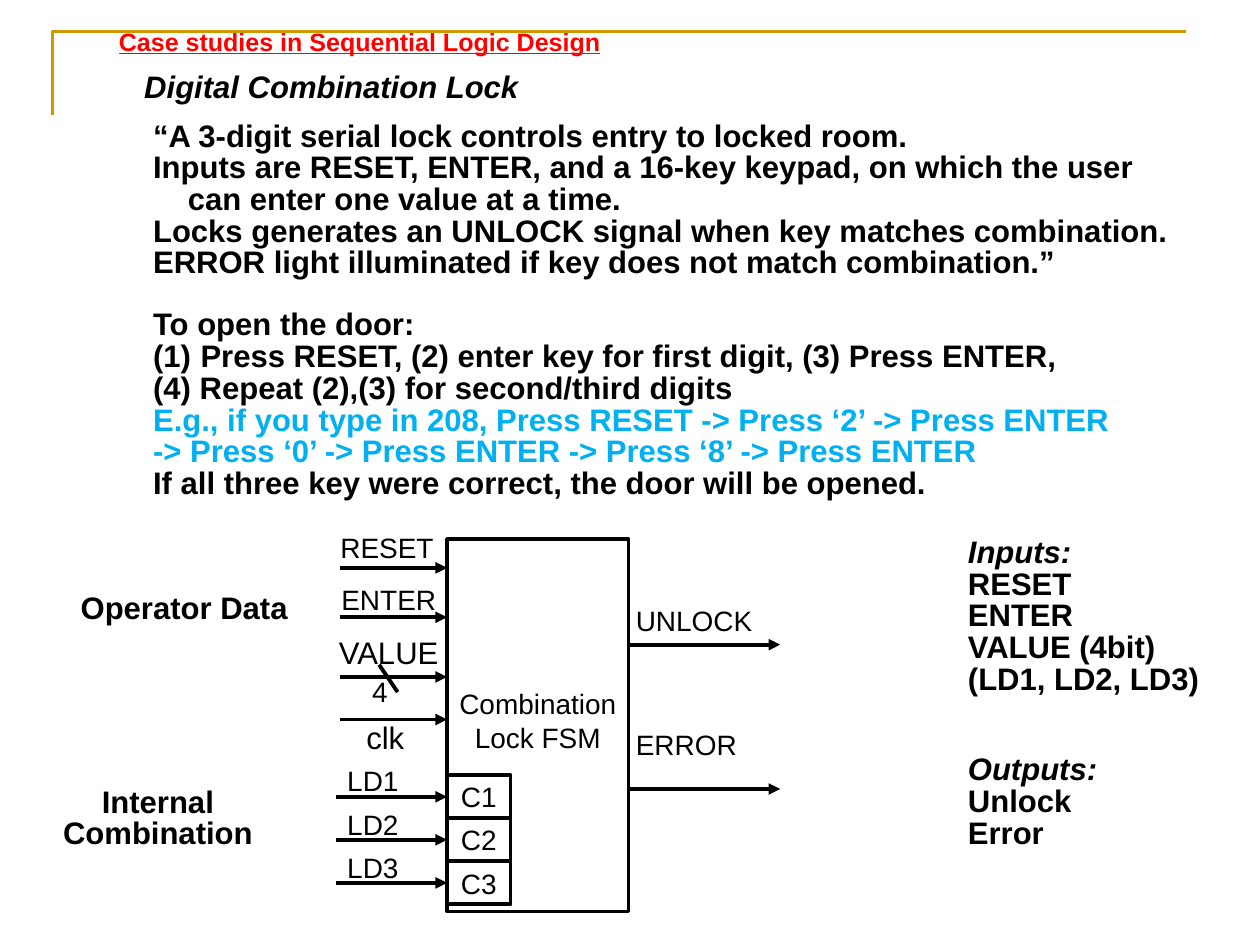
from dataclasses import dataclass

from lxml import etree
from pptx import Presentation
from pptx.dml.color import RGBColor
from pptx.enum.shapes import MSO_CONNECTOR, MSO_SHAPE
from pptx.enum.text import MSO_ANCHOR, MSO_AUTO_SIZE, PP_ALIGN
from pptx.oxml.ns import qn
from pptx.util import Cm, Pt

STRAIGHT = MSO_CONNECTOR.STRAIGHT
RECTANGLE = MSO_SHAPE.RECTANGLE
MIDDLE, TOP = MSO_ANCHOR.MIDDLE, MSO_ANCHOR.TOP
LEFT, CENTER = PP_ALIGN.LEFT, PP_ALIGN.CENTER
NO_FIT = MSO_AUTO_SIZE.NONE
LEFT_SIDE = 1

BLACK, WHITE, RED, SKY, GOLD = "000000", "FFFFFF", "FF0000", "00B0F0", "CC9900"
LABEL_SIZE, TEXT_SIZE = 16.2, 18
TEXT_INSETS = (0.18, 0.08)

FSM_LEFT, FSM_TOP, FSM_WIDTH, FSM_HEIGHT = 9.14, 11.02, 3.71, 7.62
FSM_RIGHT = FSM_LEFT + FSM_WIDTH
INPUT_START, OUTPUT_END = 6.95, 15.95
DIGIT_TOP, DIGIT_WIDTH, DIGIT_HEIGHT = 15.85, 1.3, 0.88


@dataclass
class Line:
    text: str
    color: str = BLACK
    italic: bool = False
    indent: float = 0
    numbered: bool = False
    before: float = 0


@dataclass
class Note:
    left: float
    top: float
    width: float
    height: float
    lines: list[Line]
    align: PP_ALIGN = LEFT


@dataclass
class Signal:
    name: str
    left: float
    top: float
    width: float
    arrow_y: float
    output: bool = False
    size: float = LABEL_SIZE


STORY = [
    Line("“A 3-digit serial lock controls entry to locked room."),
    Line("Inputs are RESET, ENTER, and a 16-key keypad, on which the user"),
    Line("can enter one value at a time.", indent=0.71),
    Line("Locks generates an UNLOCK signal when key matches combination."),
    Line("ERROR light illuminated if key does not match combination.”"),
    Line("To open the door:", before=17.6),
    Line("Press RESET, (2) enter key for first digit, (3) Press ENTER,",
         indent=0.97, numbered=True),
    Line("(4) Repeat (2),(3) for second/third digits"),
    Line("E.g., if you type in 208, Press RESET -> Press ‘2’ -> Press ENTER", SKY),
    Line("-> Press ‘0’ -> Press ENTER -> Press ‘8’ -> Press ENTER", SKY),
    Line("If all three key were correct, the door will be opened."),
]

NOTES = [
    Note(2.77, 1.42, 8.18, 0.81, [Line("Digital Combination Lock", italic=True)]),
    Note(1.07, 16.03, 4.32, 1.47, [Line("Internal"), Line("Combination")], CENTER),
    Note(1.47, 12.07, 4.7, 0.81, [Line("Operator Data")]),
    Note(19.61, 10.92, 5.21, 3.45,
         [Line("Inputs:", italic=True), Line("RESET"), Line("ENTER"),
          Line("VALUE (4bit)"), Line("(LD1, LD2, LD3)")]),
    Note(19.61, 15.37, 3.07, 2.13,
         [Line("Outputs:", italic=True), Line("Unlock"), Line("Error")]),
]

SIGNALS = [
    Signal("RESET", 6.96, 10.85, 2.11, 11.61),
    Signal("ENTER", 6.98, 11.91, 2.16, 12.62),
    Signal("VALUE", 6.93, 12.95, 2.08, 13.84, size=TEXT_SIZE),
    Signal("clk", 7.49, 14.68, 0.79, 14.71, size=TEXT_SIZE),
    Signal("UNLOCK", 13, 12.34, 2.62, 13.18, output=True),
    Signal("ERROR", 13, 14.88, 2.29, 16.13, output=True),
]


def rgb(color: str) -> RGBColor:
    return RGBColor.from_string(color)


def set_font(paragraph, size: float, color: str = BLACK, bold: bool = False,
             italic: bool = False, underline: bool = False) -> None:
    font = paragraph.font
    font.name, font.size = "Arial", Pt(size)
    font.bold, font.italic, font.underline = bold, italic, underline
    font.color.rgb = rgb(color)


def set_frame(frame, insets: tuple[float, float], anchor=TOP, wrap: bool = True) -> None:
    frame.margin_left = frame.margin_right = Cm(insets[0])
    frame.margin_top = frame.margin_bottom = Cm(insets[1])
    frame.vertical_anchor = anchor
    frame.auto_size = NO_FIT
    frame.word_wrap = wrap


def place(shape, left: float, top: float, width: float, height: float) -> None:
    shape.left, shape.top = Cm(left), Cm(top)
    shape.width, shape.height = Cm(width), Cm(height)


def write_lines(frame, lines: list[Line], align: PP_ALIGN = LEFT) -> None:
    """Fill a frame with bold lines, numbered or without bullets."""
    for index, line in enumerate(lines):
        paragraph = frame.paragraphs[0] if index == 0 else frame.add_paragraph()
        paragraph.text = line.text
        properties = paragraph._p.get_or_add_pPr()
        properties.set("marL", str(Cm(line.indent)))
        properties.set("indent", str(-Cm(line.indent) if line.numbered else 0))
        if line.numbered:
            etree.SubElement(properties, qn("a:buAutoNum"), type="arabicParenBoth")
        else:
            etree.SubElement(properties, qn("a:buNone"))
        paragraph.alignment = align
        paragraph.line_spacing = 0.85
        paragraph.space_before = Pt(line.before)
        set_font(paragraph, TEXT_SIZE, line.color, bold=True, italic=line.italic)


def add_label(shapes, text: str, left: float, top: float, width: float,
              size: float = LABEL_SIZE) -> None:
    label = shapes.add_textbox(Cm(left), Cm(top), Cm(width), Cm(size * 0.044))
    set_frame(label.text_frame, (0, 0), wrap=False)
    label.text_frame.text = text
    set_font(label.text_frame.paragraphs[0], size)


def add_block(shapes, text: str, left: float, top: float, width: float,
              height: float, weight: float):
    block = shapes.add_shape(RECTANGLE, Cm(left), Cm(top), Cm(width), Cm(height))
    block.shadow.inherit = False
    block.fill.solid()
    block.fill.fore_color.rgb = rgb(WHITE)
    block.line.color.rgb = rgb(BLACK)
    block.line.width = Pt(weight)
    set_frame(block.text_frame, (0, 0), MIDDLE)
    block.text_frame.text = text
    for paragraph in block.text_frame.paragraphs:
        paragraph.alignment = CENTER
        set_font(paragraph, LABEL_SIZE)
    return block


def add_wire(shapes, x1: float, y1: float, x2: float, y2: float, arrow: bool = True):
    wire = shapes.add_connector(STRAIGHT, Cm(x1), Cm(y1), Cm(x2), Cm(y2))
    wire.line.color.rgb = rgb(BLACK)
    wire.line.width = Pt(2.25)
    if arrow:
        etree.SubElement(wire.line._get_or_add_ln(), qn("a:tailEnd"), type="triangle")
    etree.SubElement(wire._element.spPr, qn("a:effectLst"))
    return wire


def add_corner_rule(shapes) -> None:
    builder = shapes.build_freeform(Cm(1.07), Cm(2.36))
    builder.add_line_segments([(Cm(1.07), Cm(0.64)), (Cm(24.25), Cm(0.64))], close=False)
    rule = builder.convert_to_shape()
    rule.shadow.inherit = False
    rule.fill.background()
    rule.line.color.rgb = rgb(GOLD)
    rule.line.width = Pt(1.5)


def add_diagram(shapes) -> None:
    fsm = add_block(shapes, "Combination\nLock FSM", FSM_LEFT, FSM_TOP,
                    FSM_WIDTH, FSM_HEIGHT, 2)
    fsm.text_frame.margin_bottom = Cm(0.2)
    for signal in SIGNALS:
        add_label(shapes, signal.name, signal.left, signal.top, signal.width, signal.size)
        start, end = (FSM_RIGHT, OUTPUT_END) if signal.output else (INPUT_START, FSM_LEFT)
        add_wire(shapes, start, signal.arrow_y, end, signal.arrow_y)
    add_wire(shapes, 7.75, 13.59, 8.13, 14.15, arrow=False)
    add_label(shapes, "4", 7.61, 13.8, 0.32)
    for index in range(3):
        top = DIGIT_TOP + index * DIGIT_HEIGHT
        middle = top + DIGIT_HEIGHT / 2
        digit = add_block(shapes, f"C{index + 1}", FSM_LEFT, top,
                          DIGIT_WIDTH, DIGIT_HEIGHT, 2.25)
        add_label(shapes, f"LD{index + 1}", 7.1, top - 0.23, 1.07)
        load = add_wire(shapes, 6.86, middle, FSM_LEFT, middle)
        load.end_connect(digit, LEFT_SIDE)


def main() -> None:
    deck = Presentation()
    deck.slide_width, deck.slide_height = Cm(25.76), Cm(19.3)
    slide = deck.slides.add_slide(deck.slide_layouts[1])
    shapes = slide.shapes
    add_corner_rule(shapes)

    heading = shapes.title
    place(heading, 2.18, 0.51, 11.51, 0.81)
    set_frame(heading.text_frame, (0.25, 0.13), MIDDLE)
    heading.text_frame.text = "Case studies in Sequential Logic Design"
    heading_line = heading.text_frame.paragraphs[0]
    heading_line.alignment = LEFT
    heading_line.line_spacing = 0.7
    set_font(heading_line, 14.5, RED, bold=True, underline=True)

    story = slide.placeholders[1]
    place(story, 2.95, 2.41, 21.95, 8.1)
    set_frame(story.text_frame, TEXT_INSETS)
    write_lines(story.text_frame, STORY)

    for note in NOTES:
        box = shapes.add_textbox(Cm(note.left), Cm(note.top), Cm(note.width), Cm(note.height))
        set_frame(box.text_frame, TEXT_INSETS, wrap=False)
        write_lines(box.text_frame, note.lines, note.align)
    add_diagram(shapes)
    deck.save("out.pptx")


if __name__ == "__main__":
    main()
